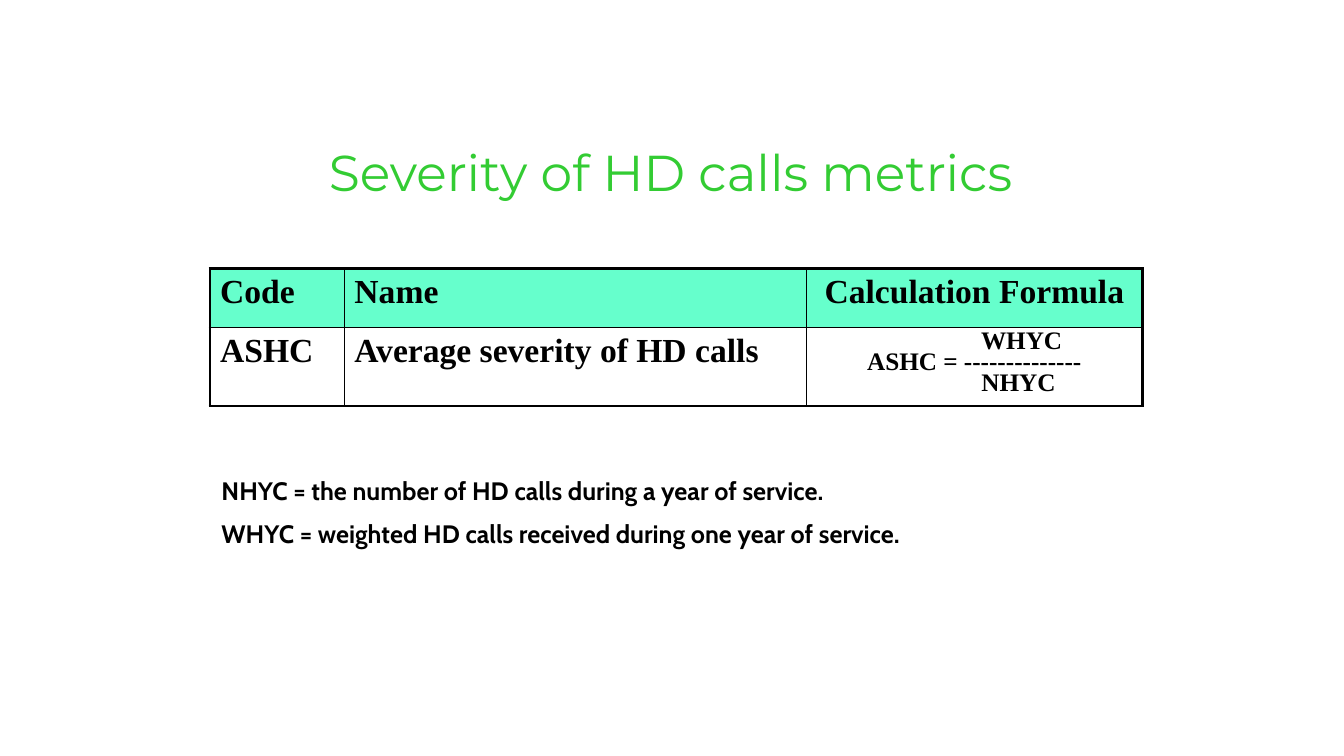
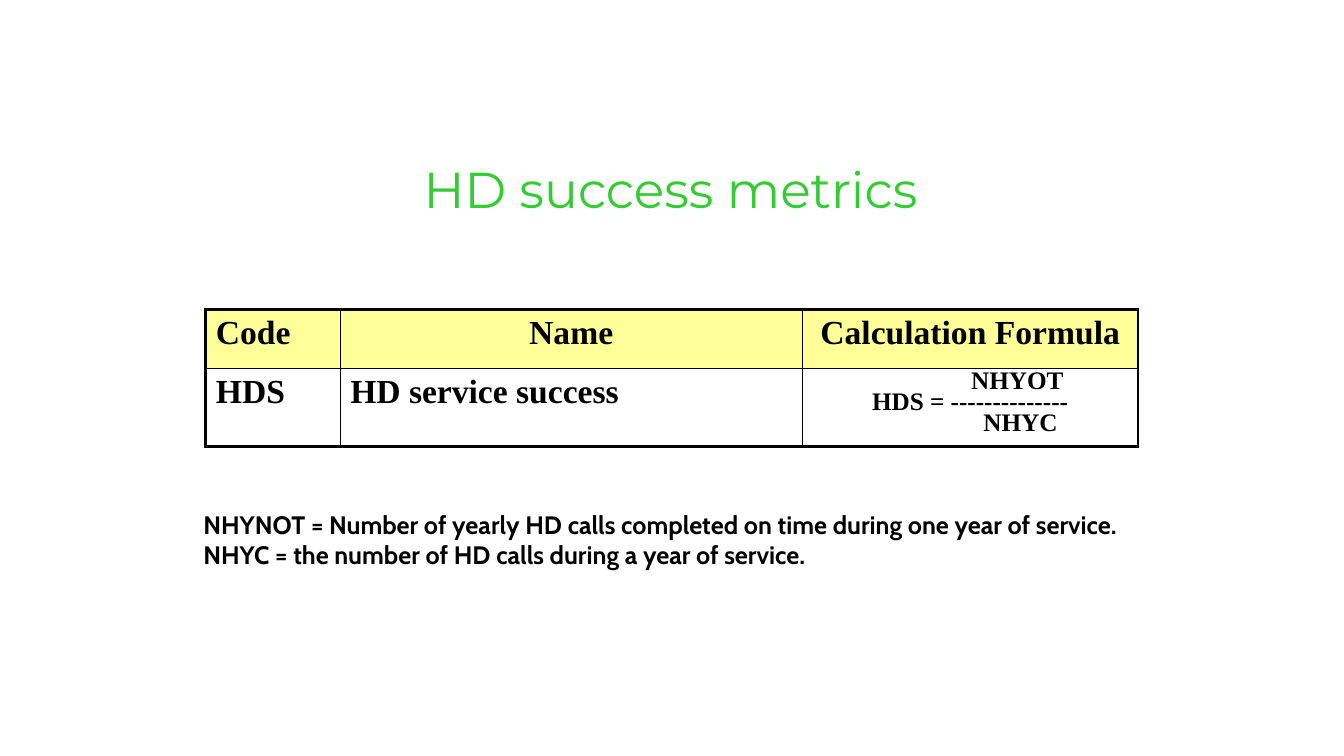
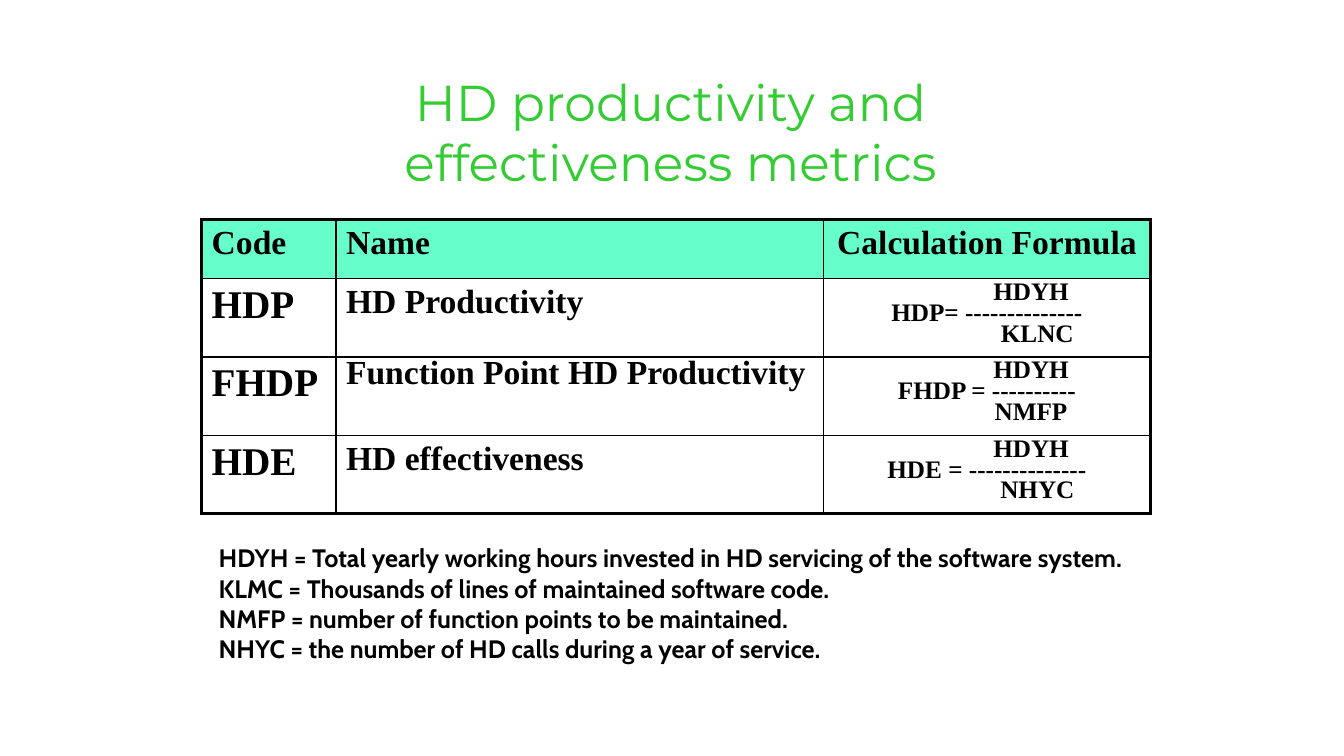
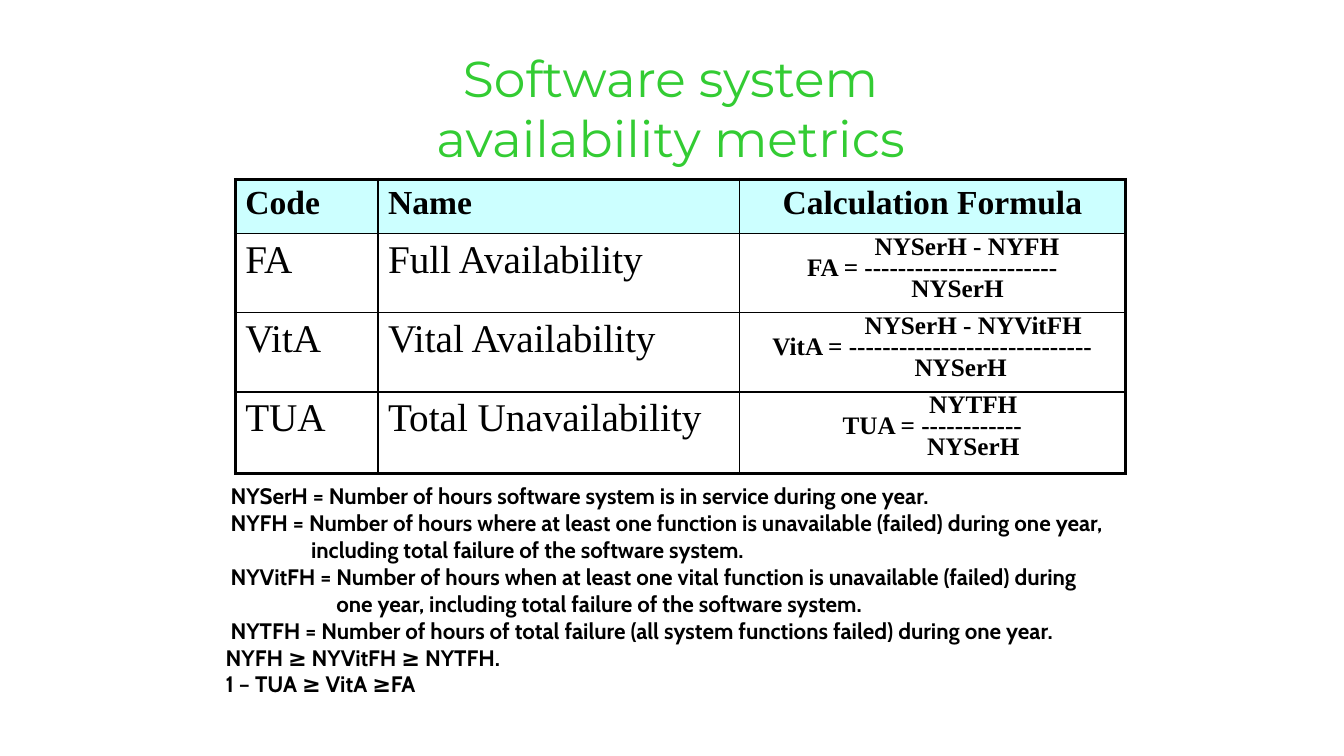
"""Build four slides of help desk metrics, each a title, a table and its notes."""
from lxml import etree
from pptx import Presentation
from pptx.dml.color import RGBColor
from pptx.enum import text
from pptx.oxml.ns import qn
from pptx.util import Pt

BLACK, GREEN = "000000", "33CC33"
MINT, YELLOW, SKY = "66FFCC", "FFFF99", "CCFFFF"
SERIF, SANS, HEAD = "Times New Roman", "Cabin", "Montserrat"
MID, WIDE = 479, 548
SPACE = 4.5
THICK, THIN = 2.25, 1
LEFT, CENTER = text.PP_ALIGN.LEFT, text.PP_ALIGN.CENTER
HEADER = ("Code", "Name", "Calculation Formula")

SLIDES = [
    dict(
        title=["Severity of HD calls metrics"], top=97, fill=MINT,
        at=(150, 192), cols=(96, 330, 240), heights=(42, 56),
        rows=[("ASHC", "Average severity of HD calls",
               [("WHYC", 15), ("ASHC = --------------", 0), ("NHYC", 14)])],
        box=(151, 336, 575, 61), gap=9,
        notes=[("NHYC = the number of HD calls during a year of service.", 0, 0),
               ("WHYC = weighted HD calls received during one year of service.", 0, 0)]),
    dict(
        title=["HD success metrics"], top=109, fill=YELLOW, name=CENTER,
        at=(147, 221), cols=(96, 330, 240), heights=(42, 56),
        rows=[("HDS", "HD service success",
               [("NHYOT", 15), ("HDS = --------------", 0), ("NHYC", 16)])],
        box=(138, 360, 678, 94),
        notes=[("NHYNOT = Number of yearly HD calls completed on time during one year of service.", 0, 0),
               ("NHYC = the number of HD calls during a year of service.", 0, 0)]),
    dict(
        title=["HD productivity and", "effectiveness metrics"], top=47, fill=MINT,
        at=(144, 157), cols=(96, 348, 234), heights=(42, 56, 56, 56),
        code=28, tight="Function Point HD Productivity",
        rows=[("HDP", "HD Productivity",
               [("HDYH", 14), ("HDP= --------------", 0), ("KLNC", 16)]),
              ("FHDP", "Function Point HD Productivity",
               [("HDYH", 14), ("FHDP = ----------", 0), ("NMFP", 14)]),
              ("HDE", "HD effectiveness",
               [("HDYH", 14), ("HDE = --------------", 0), ("NHYC", 16)])],
        box=(149, 384, 691, 94),
        notes=[("HDYH = Total yearly working hours invested in HD servicing of the software system.", 0, 0),
               ("KLMC = Thousands of lines of maintained software code.", 0, 0),
               ("NMFP = number of function points to be maintained.", 0, 0),
               ("NHYC = the number of HD calls during a year of service.", 0, 0)]),
    dict(
        title=["Software system", "availability metrics"], top=30, fill=SKY,
        at=(168, 128), cols=(102, 258, 276), heights=(39, 56.5, 56.5, 58),
        code=28, label=28, bold=False,
        rows=[("FA", "Full Availability",
               [("NYSerH - NYFH", 11), ("FA = -----------------------", 0), ("NYSerH", 8)]),
              ("VitA", "Vital Availability",
               [("NYSerH - NYVitFH", 13), ("VitA = -----------------------------", 0), ("NYSerH", 9)]),
              ("TUA", "Total Unavailability",
               [("NYTFH", 13), ("TUA = ------------", 0), ("NYSerH", 13)])],
        box=(154, 341, 660, 181), size=16,
        notes=[("NYSerH = Number of hours software system is in service during one year.", 3.5, 0),
               ("NYFH = Number of hours where at least one function is unavailable (failed) during one year,\n"
                "including total failure of the software system.", 61, -57.5),
               ("NYVitFH = Number of hours when at least one vital function is unavailable (failed) during\n"
                "one year, including total failure of the software system.", 79, -75.5),
               ("NYTFH = Number of hours of total failure (all system functions failed) during one year.", 3.5, 0),
               ("NYFH ≥ NYVitFH ≥ NYTFH.", 0, 0),
               ("1 – TUA ≥ VitA ≥FA", 0, 0)]),
]


def rgb(code):
    return RGBColor.from_string(code)


def write(frame, lines, face, size, color=BLACK, bold=True, align=LEFT, line=1, gap=0):
    """Fill a frame with (words, left margin, first indent) paragraphs."""
    for i, (words, left, first) in enumerate(lines):
        para = frame.add_paragraph() if i else frame.paragraphs[0]
        para.alignment, para.line_spacing = align, line
        para.space_before = Pt(gap if i else 0)
        props = para._p.get_or_add_pPr()
        props.set("marL", str(int(Pt(left))))
        props.set("indent", str(int(Pt(first))))
        etree.SubElement(props, qn("a:buNone"))
        for j, part in enumerate(words.split("\n")):
            if j:
                para.add_line_break()
            run = para.add_run()
            run.text = part
            font = run.font
            font.name, font.size, font.bold = face, Pt(size), bold
            font.color.rgb = rgb(color)


def place(shape, left, top, width, height):
    """Move a placeholder and fix its frame."""
    shape.left, shape.top, shape.width, shape.height = map(Pt, (left, top, width, height))
    frame = shape.text_frame
    frame.word_wrap, frame.auto_size = True, text.MSO_AUTO_SIZE.NONE
    frame.vertical_anchor = text.MSO_ANCHOR.TOP
    return frame


def edge(cell, side, width):
    """Draw one black cell border."""
    line = etree.SubElement(cell._tc.get_or_add_tcPr(), qn("a:ln" + side), w=str(int(Pt(width))))
    fill = etree.SubElement(line, qn("a:solidFill"))
    etree.SubElement(fill, qn("a:srgbClr"), val=BLACK)


def grid(slide, data):
    """Add the metrics table with a thick frame and thin inner lines."""
    rows = [HEADER] + data["rows"]
    cols, heights = data["cols"], data["heights"]
    size = (*data["at"], sum(cols), sum(heights))
    table = slide.shapes.add_table(len(rows), len(cols), *map(Pt, size)).table
    table.first_row = table.horz_banding = False
    for col, width in zip(table.columns, cols):
        col.width = Pt(width)
    for row, height in zip(table.rows, heights):
        row.height = Pt(height)
    sizes = (data.get("code", 24), data.get("label", 24))
    for r, row in enumerate(rows):
        for c, words in enumerate(row):
            cell = table.cell(r, c)
            outer = dict(L=c == 0, R=c == len(cols) - 1, T=r == 0, B=r == len(rows) - 1)
            for side, out in outer.items():
                edge(cell, side, THICK if out else THIN)
            frame = cell.text_frame
            if r == 0:
                cell.fill.solid()
                cell.fill.fore_color.rgb = rgb(data["fill"])
                align = (LEFT, data.get("name", LEFT), CENTER)[c]
                write(frame, [(words, 0, 0)], SERIF, 24, align=align)
                continue
            cell.fill.background()
            if c == 2:
                lines = [(part, count * SPACE, 0) for part, count in words]
                write(frame, lines, SERIF, 18, align=CENTER, line=0.75)
            else:
                line = 0.75 if words == data.get("tight") else 1
                write(frame, [(words, 0, 0)], SERIF, sizes[c], bold=data.get("bold", True), line=line)


def build(deck, data):
    """Add one slide."""
    slide = deck.slides.add_slide(deck.slide_layouts[1])
    title = place(slide.shapes.title, MID - WIDE / 2, data["top"], WIDE, 44 * len(data["title"]) + 8)
    write(title, [(words, 0, 0) for words in data["title"]], HEAD, 36, GREEN, False, CENTER)
    grid(slide, data)
    notes = place(slide.placeholders[1], *data["box"])
    write(notes, data["notes"], SANS, data.get("size", 18), gap=data.get("gap", 0))


def main():
    deck = Presentation()
    deck.slide_width, deck.slide_height = Pt(960), Pt(540)
    for data in SLIDES:
        build(deck, data)
    deck.save("out.pptx")


if __name__ == "__main__":
    main()
